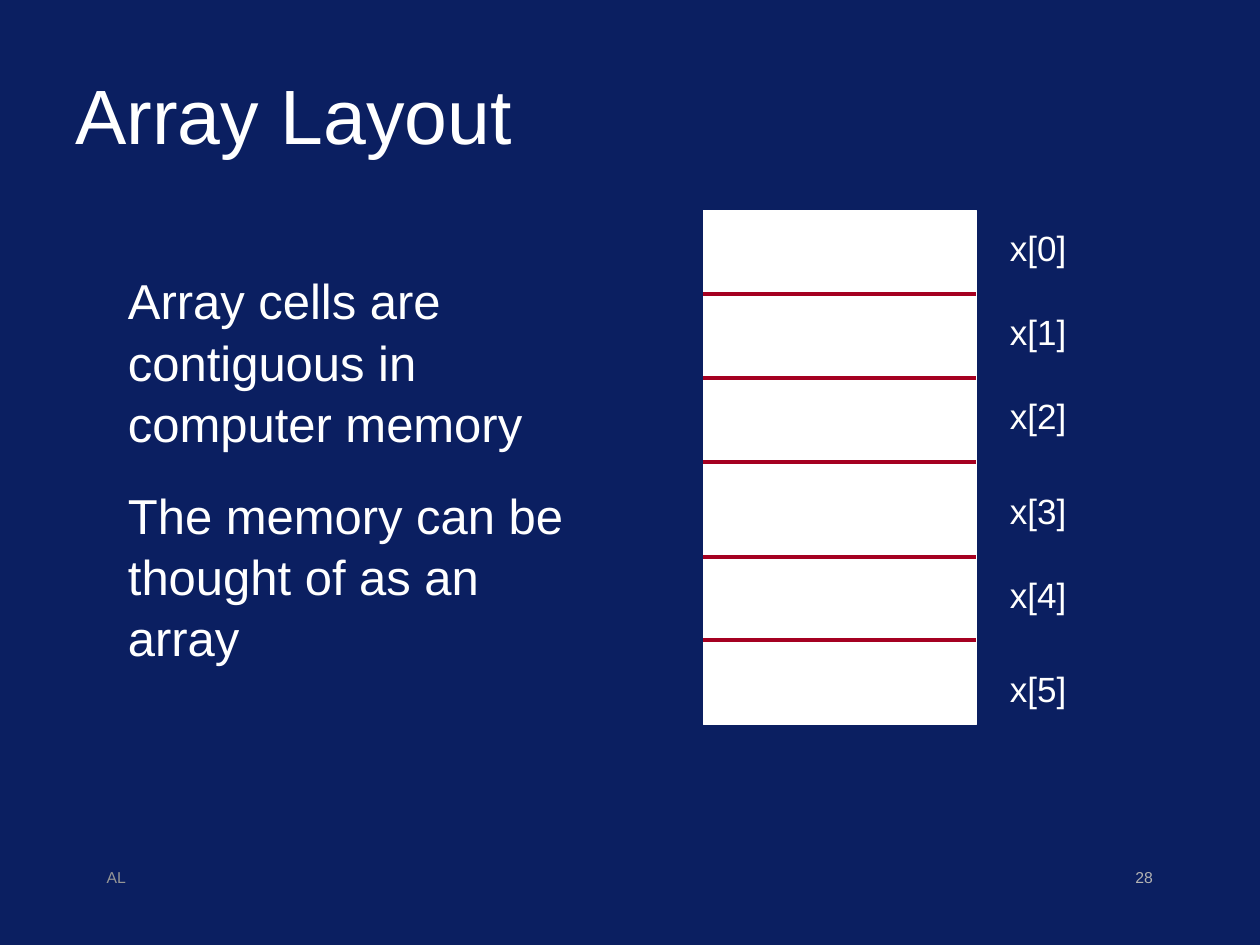
from dataclasses import dataclass

from lxml.etree import SubElement
from pptx import Presentation
from pptx.dml.color import RGBColor
from pptx.enum.shapes import MSO_CONNECTOR as Link, MSO_SHAPE as Form
from pptx.enum.text import MSO_ANCHOR as Anchor, PP_ALIGN as Align
from pptx.oxml.ns import qn
from pptx.slide import Slide
from pptx.util import Cm, Pt

NAVY = RGBColor(0x0B, 0x1F, 0x61)
WHITE = RGBColor(0xFF, 0xFF, 0xFF)
RED = RGBColor(0xA5, 0x00, 0x21)
SILVER = RGBColor(0xB2, 0xB2, 0xB2)
GREY = RGBColor(0x96, 0x96, 0x96)
FONT = "Arial"

# Memory block, in cm
LEFT, TOP, WIDTH, HEIGHT = 14.18, 4.24, 5.5, 10.37
TAG_LEFT, TAG_WIDTH, TAG_HEIGHT = 20.11, 1.65, 1.12


@dataclass(frozen=True)
class Cell:
    top: float
    tag_top: float


@dataclass(frozen=True)
class Label:
    text: str
    left: float
    top: float
    width: float
    height: float
    size: float
    color: RGBColor = WHITE
    align: Align = Align.LEFT
    anchor: Anchor = Anchor.TOP
    wrap: bool = True
    before: float = 0
    spacing: float = 1.0


CELLS = [
    Cell(TOP, 4.45),
    Cell(5.93, 6.14),
    Cell(7.62, 7.83),
    Cell(9.31, 9.74),
    Cell(11.22, 11.43),
    Cell(12.91, 13.34),
]

LABELS = [
    Label("Array Layout", 1.27, 1.02, 22.86, 2.54, 44, anchor=Anchor.MIDDLE),
    Label(
        "Array cells are contiguous in computer memory\n"
        "The memory can be thought of as an array",
        2.33, 5.29, 9.95, 8, 28, before=17.5, spacing=1.04,
    ),
    Label("28", 18.2, 17.36, 5.29, 1.27, 9, SILVER, Align.RIGHT),
    Label("AL", 1.9, 17.36, 5.29, 1.27, 9, GREY),
]


def add_label(slide: Slide, label: Label) -> None:
    box = slide.shapes.add_textbox(
        Cm(label.left), Cm(label.top), Cm(label.width), Cm(label.height)
    )
    frame = box.text_frame
    frame.text = label.text
    frame.word_wrap = label.wrap
    frame.vertical_anchor = label.anchor
    for para in frame.paragraphs:
        para.alignment = label.align
        para.space_before = Pt(label.before)
        para.line_spacing = label.spacing
        for run in para.runs:
            run.font.name = FONT
            run.font.size = Pt(label.size)
            run.font.color.rgb = label.color


def add_block(slide: Slide) -> None:
    block = slide.shapes.add_shape(
        Form.RECTANGLE, Cm(LEFT), Cm(TOP), Cm(WIDTH), Cm(HEIGHT)
    )
    block.shadow.inherit = False
    block.fill.solid()
    block.fill.fore_color.rgb = WHITE
    block.line.color.rgb = WHITE
    block.line.width = Pt(0.75)


def add_rule(slide: Slide, top: float) -> None:
    """Draw the line that parts a cell from the one above it."""
    rule = slide.shapes.add_connector(
        Link.STRAIGHT, Cm(LEFT), Cm(top), Cm(LEFT + WIDTH), Cm(top)
    )
    rule.line.color.rgb = RED
    rule.line.width = Pt(2.25)
    SubElement(rule._element.spPr, qn("a:effectLst"))


def main() -> None:
    deck = Presentation()
    deck.slide_width, deck.slide_height = Cm(25.4), Cm(19.05)
    slide = deck.slides.add_slide(deck.slide_layouts[6])
    slide.background.fill.solid()
    slide.background.fill.fore_color.rgb = NAVY

    add_block(slide)
    for cell in CELLS[1:]:
        add_rule(slide, cell.top)
    for index, cell in enumerate(CELLS):
        tag = Label(
            f"x[{index}]", TAG_LEFT, cell.tag_top, TAG_WIDTH, TAG_HEIGHT, 20,
            wrap=False,
        )
        add_label(slide, tag)
    for label in LABELS:
        add_label(slide, label)

    deck.save("out.pptx")


if __name__ == "__main__":
    main()
